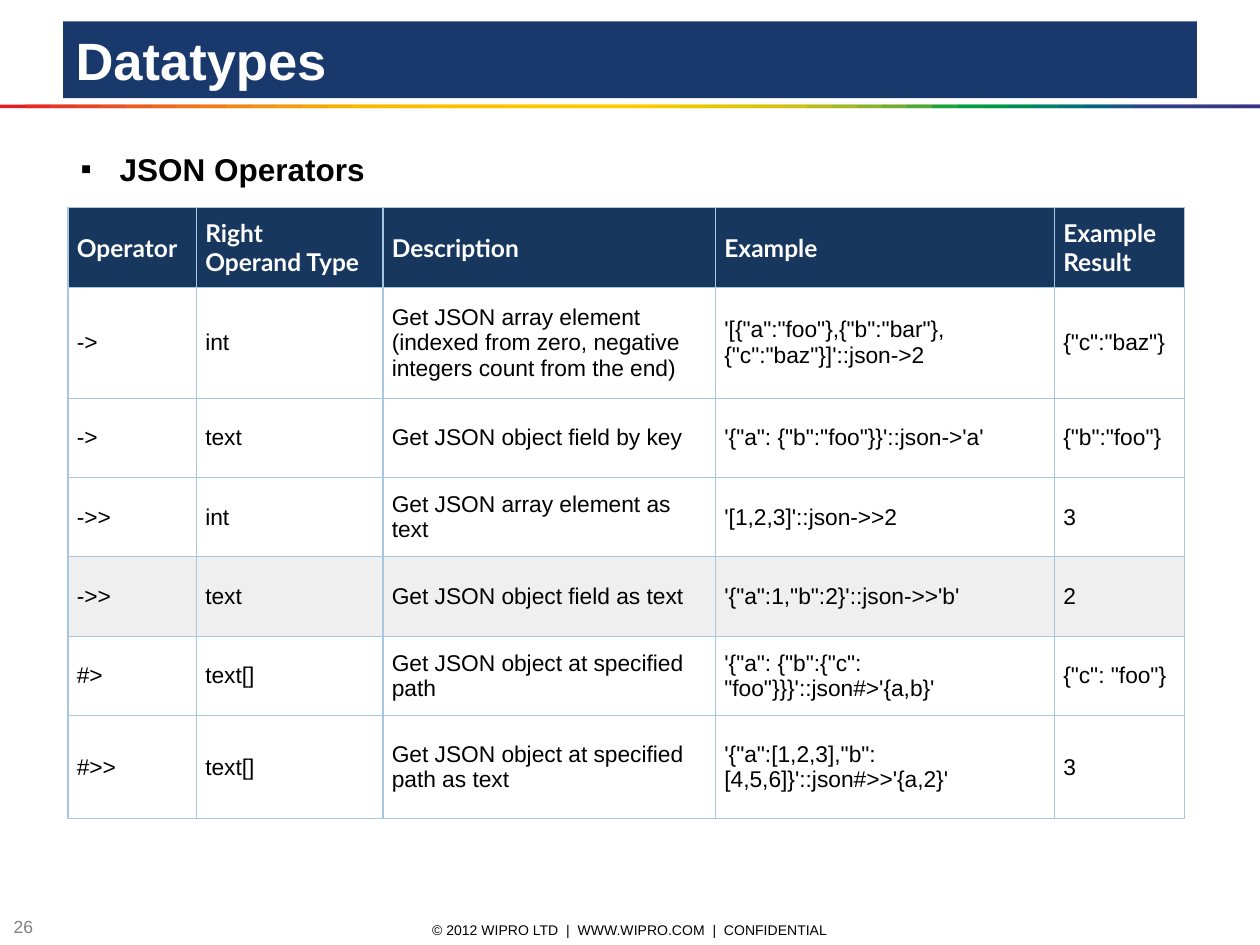
from lxml.etree import SubElement
from pptx import Presentation
from pptx.dml.color import RGBColor
from pptx.enum.shapes import MSO_SHAPE
from pptx.enum.text import MSO_ANCHOR, MSO_AUTO_SIZE, PP_ALIGN
from pptx.oxml import parse_xml
from pptx.oxml.ns import nsdecls, qn
from pptx.util import Inches, Pt

# Content
TITLE = "Datatypes"
BULLET = "JSON Operators"
FOOTER = "© 2012 WIPRO LTD  |  WWW.WIPRO.COM  |  CONFIDENTIAL"
PAGE_NUMBER = "26"
ROWS = [
    ("Operator", "Right\nOperand Type", "Description", "Example", "Example Result"),
    ("->", "int",
     "Get JSON array element (indexed from zero, negative integers count from the end)",
     """'[{"a":"foo"},{"b":"bar"},{"c":"baz"}]'::json->2""", '{"c":"baz"}'),
    ("->", "text", "Get JSON object field by key",
     """'{"a": {"b":"foo"}}'::json->'a'""", '{"b":"foo"}'),
    ("->>", "int", "Get JSON array element as text", "'[1,2,3]'::json->>2", "3"),
    ("->>", "text", "Get JSON object field as text",
     """'{"a":1,"b":2}'::json->>'b'""", "2"),
    ("#>", "text[]", "Get JSON object at specified path",
     """'{"a": {"b":{"c": "foo"}}}'::json#>'{a,b}'""", '{"c": "foo"}'),
    ("#>>", "text[]", "Get JSON object at specified path as text",
     """'{"a":[1,2,3],"b":[4,5,6]}'::json#>>'{a,2}'""", "3"),
]
COLUMN_WIDTHS = [1.02, 1.48, 2.64, 2.69, 1.03]
ROW_HEIGHTS = [0.63, 0.88, 0.63, 0.63, 0.63, 0.63, 0.82]
SHADED_ROW = 4

COLORS = {
    "title": "19396D", "header": "17375E", "border": "A7C6DF", "shaded": "EFEFEF",
    "white": "FFFFFF", "black": "000000", "gray": "808080",
}
RAINBOW = """
E31E24 E42C24 E53A24 E74623 E85122 EA5D21 EC691F EE741D EF7E1A F18817
F39314 F49C0F F6A607 F8B002 FBBA00 FBBB00 FBBD00 FCBF00 FCC000 FCC200
FDC400 FDC600 FDC700 FEC900 FECB00 FBCB00 F3CA00 ECC800 E4C602 DCC50A
D5C30E CCC117 B8BC21 A3B829 8CB230 71AD36 51A73B 1DA240 009D43 009846
008C57 008068 007275 00637F 185384 2E4285 313E85 333B85 353885 393185
""".split()


def set_fill(target, color):
    target.fill.solid()
    target.fill.fore_color.rgb = RGBColor.from_string(color)


def write_text(frame, text, size=13, font="Arial", color="black", bold=False,
               align=PP_ALIGN.LEFT, bullet=None):
    frame.word_wrap = True
    frame.text = text
    for paragraph in frame.paragraphs:
        paragraph.alignment = align
        paragraph.space_before = Pt(0)
        if bullet:
            properties = paragraph._p.get_or_add_pPr()
            properties.set("marL", str(Inches(0.31)))
            properties.set("indent", str(-Inches(0.31)))
            SubElement(properties, qn("a:buFont"), typeface="Arial")
            SubElement(properties, qn("a:buChar"), char=bullet)
        for run in paragraph.runs:
            run.font.size = Pt(size)
            run.font.name = font
            run.font.bold = bold
            run.font.color.rgb = RGBColor.from_string(COLORS[color])


def place(shape, left, top, width, height):
    shape.left, shape.top = Inches(left), Inches(top)
    shape.width, shape.height = Inches(width), Inches(height)
    shape.text_frame.auto_size = MSO_AUTO_SIZE.NONE
    shape.text_frame.vertical_anchor = MSO_ANCHOR.MIDDLE


def add_borders(cell, color, width):
    properties = cell._tc.get_or_add_tcPr()
    for index, side in enumerate(("lnL", "lnR", "lnT", "lnB")):
        properties.insert(index, parse_xml(
            f'<a:{side} {nsdecls("a")} w="{Pt(width)}"><a:solidFill>'
            f'<a:srgbClr val="{color}"/></a:solidFill></a:{side}>'))


presentation = Presentation()
presentation.slide_width, presentation.slide_height = Inches(10), Inches(7.5)
slide = presentation.slides.add_slide(presentation.slide_layouts[1])

# Rainbow rule: each band runs under the next one
step = 10 / len(RAINBOW)
for index, color in enumerate(RAINBOW):
    left = index * step
    band = slide.shapes.add_shape(
        MSO_SHAPE.RECTANGLE, Inches(left), Inches(0.83),
        Inches(min(2 * step, 10 - left)), Inches(0.03))
    band.shadow.inherit = False
    set_fill(band, color)
    band.line.fill.background()

# Title and bullet
title, body = slide.placeholders
place(title, 0.5, 0.17, 9, 0.61)
set_fill(title, COLORS["title"])
write_text(title.text_frame, TITLE, size=30, color="white", bold=True)
place(body, 0.54, 1.14, 8.97, 0.4)
write_text(body.text_frame, BULLET, size=18, bold=True, bullet="▪")

# Operator table
table = slide.shapes.add_table(
    len(ROWS), len(COLUMN_WIDTHS), Inches(0.54), Inches(1.65),
    Inches(sum(COLUMN_WIDTHS)), Inches(sum(ROW_HEIGHTS))).table
table.first_row = table.horz_banding = False
for column, width in zip(table.columns, COLUMN_WIDTHS):
    column.width = Inches(width)
for row, height in zip(table.rows, ROW_HEIGHTS):
    row.height = Inches(height)

HEADER_FORMAT = {"size": 14, "font": "Lato", "color": "white", "bold": True}
row_fills = {0: "header", SHADED_ROW: "shaded"}
for row_index, texts in enumerate(ROWS):
    for column_index, text in enumerate(texts):
        cell = table.cell(row_index, column_index)
        cell.vertical_anchor = MSO_ANCHOR.MIDDLE
        cell.margin_left = cell.margin_right = Inches(0.07)
        cell.margin_top = cell.margin_bottom = Inches(0.04)
        set_fill(cell, COLORS[row_fills.get(row_index, "white")])
        add_borders(cell, COLORS["border"], 0.75)
        write_text(cell.text_frame, text, **({} if row_index else HEADER_FORMAT))

# Footer and page number
for text, box, text_format in [
    (FOOTER, (3.3, 7.28, 3.4, 0.2), {"size": 8, "align": PP_ALIGN.CENTER}),
    (PAGE_NUMBER, (0.01, 7.27, 0.39, 0.16), {"size": 10, "color": "gray"}),
]:
    text_box = slide.shapes.add_textbox(0, 0, 0, 0)
    place(text_box, *box)
    text_box.text_frame.margin_top = text_box.text_frame.margin_bottom = 0
    write_text(text_box.text_frame, text, **text_format)

presentation.save("out.pptx")
